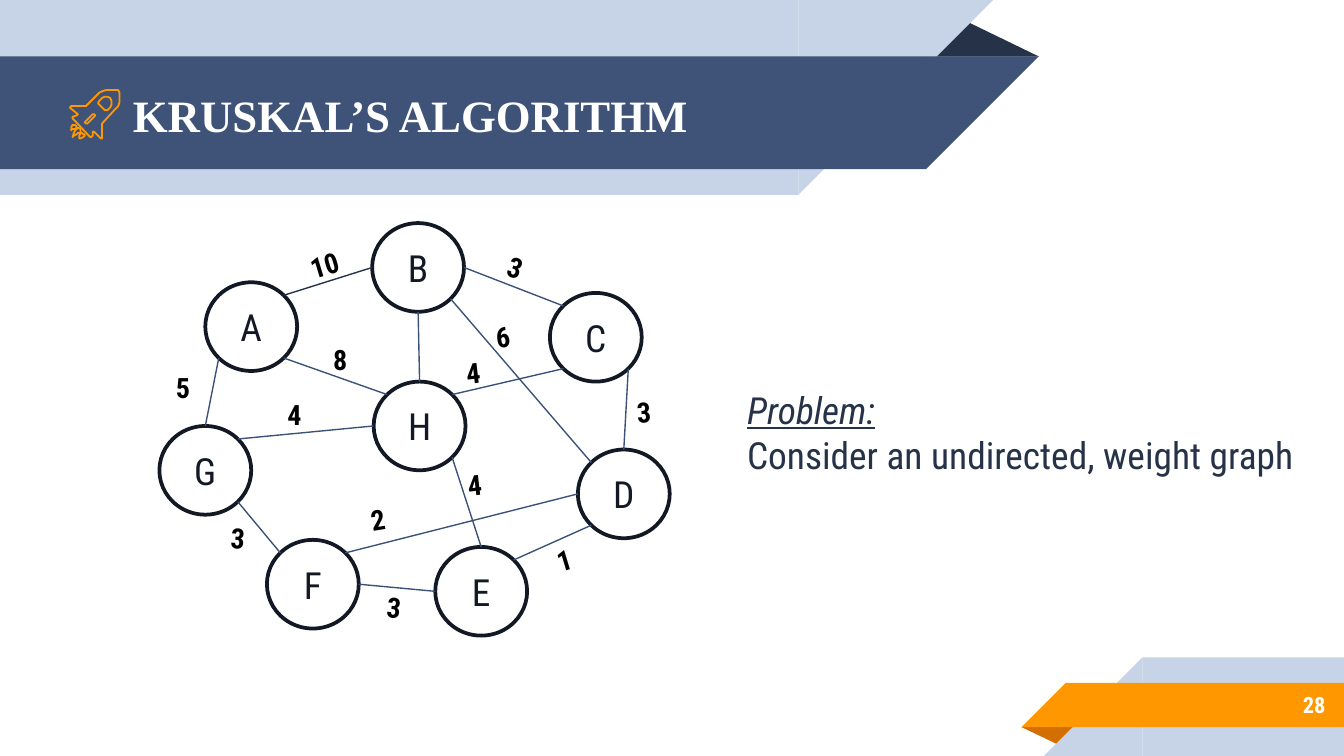
import math

import pptx
import pptx.util
from lxml import etree
from pptx.dml.color import RGBColor
from pptx.enum.shapes import MSO_CONNECTOR, MSO_SHAPE
from pptx.enum.text import MSO_ANCHOR, PP_ALIGN
from pptx.oxml.ns import qn

Pt = pptx.util.Pt

THEME = {
    "pale": RGBColor.from_string("C7D3E6"),
    "navy": RGBColor.from_string("3F5378"),
    "dark": RGBColor.from_string("263248"),
    "orange": RGBColor.from_string("FF9800"),
    "rust": RGBColor.from_string("D26F00"),
    "white": RGBColor.from_string("FFFFFF"),
    "black": RGBColor.from_string("000000"),
    "ink": RGBColor.from_string("131924"),
    "edge": RGBColor.from_string("3C5177"),
    "first_edge": RGBColor.from_string("243147"),
    "body_font": "Roboto Condensed",
    "title_font": "Times New Roman",
    "title_size": 24,
    "body_size": 20,
    "weight_size": 15,
    "number_size": 12,
}

deck = pptx.Presentation()
deck.slide_width, deck.slide_height = Pt(720), Pt(405)
slide = deck.slides.add_slide(deck.slide_layouts[6])
shapes = slide.shapes


def style_font(paragraph, size, color, bold=False, family="body_font"):
    paragraph.font.name = THEME[family]
    paragraph.font.size = Pt(THEME[size])
    paragraph.font.color.rgb = THEME[color]
    paragraph.font.bold = bold


def add_label(text, left, top, width, height, size, color, bold=True, family="body_font"):
    """Add a text box with one styled paragraph per line of text."""
    label = shapes.add_textbox(Pt(left), Pt(top), Pt(width), Pt(height))
    label.text_frame.word_wrap = True
    label.text_frame.text = text
    for paragraph in label.text_frame.paragraphs:
        style_font(paragraph, size, color, bold, family)
    return label


# Ribbons: preset, left, top, width, height, rotation, colour
ribbons = [
    (MSO_SHAPE.ISOSCELES_TRIANGLE, 495.4, 10.1, 61.2, 20.2, 0, "dark"),
    (MSO_SHAPE.RECTANGLE, 0, 0, 427.7, 104.4, 0, "pale"),
    (MSO_SHAPE.RIGHT_TRIANGLE, 427.7, 0, 104.4, 104.4, 90, "pale"),
    (MSO_SHAPE.RECTANGLE, 0, 30.2, 496, 60.5, 0, "navy"),
    (MSO_SHAPE.RIGHT_TRIANGLE, 496, 30.2, 60.5, 60.5, 90, "navy"),
    (MSO_SHAPE.ISOSCELES_TRIANGLE, 547.2, 389.5, 31, 10.1, 180, "rust"),
    (MSO_SHAPE.RECTANGLE, 612, 352.2, 108, 52.8, 0, "pale"),
    (MSO_SHAPE.RIGHT_TRIANGLE, 559.2, 352.2, 52.8, 52.8, 270, "pale"),
    (MSO_SHAPE.RECTANGLE, 571, 365.8, 149, 23.8, 0, "orange"),
    (MSO_SHAPE.RIGHT_TRIANGLE, 547.2, 365.8, 23.8, 23.8, 270, "orange"),
]
for preset, left, top, width, height, rotation, color in ribbons:
    ribbon = shapes.add_shape(preset, Pt(left), Pt(top), Pt(width), Pt(height))
    ribbon.rotation = rotation
    ribbon.shadow.inherit = False
    ribbon.fill.solid()
    ribbon.fill.fore_color.rgb = THEME[color]
    ribbon.line.fill.background()
    if preset == MSO_SHAPE.ISOSCELES_TRIANGLE:
        ribbon.adjustments[0] = 0.32

title = add_label("KRUSKAL’S ALGORITHM", 64.1, 31, 414, 60.5, "title_size", "white",
                  family="title_font")
page_number = add_label("28", 599.8, 365, 117.4, 25.2, "number_size", "white")
page_number.text_frame.paragraphs[0].alignment = PP_ALIGN.RIGHT
for label in (title, page_number):
    frame = label.text_frame
    frame.vertical_anchor = MSO_ANCHOR.MIDDLE
    frame.margin_top = frame.margin_bottom = Pt(7.2)

# Rocket icon: each part is a list of closed contours, in units of 0.72 pt
rocket = [
    [
        [(76, 102), (76, 92), (86, 81), (88, 79), (89, 76), (89, 69), (88, 67),
         (86, 67), (79, 67), (76, 68), (74, 69), (64, 79), (53, 79), (52, 80),
         (53, 81), (58, 85), (57, 86), (54, 87), (54, 88), (67, 102), (68, 102),
         (69, 101), (69, 98), (70, 98), (75, 103), (76, 103)],
        [(65, 92), (64, 92), (63, 91), (64, 90), (69, 85), (70, 85), (71, 86), (70, 87)],
        [(80, 82), (78, 82), (74, 78), (73, 77), (74, 75), (76, 73), (78, 72),
         (80, 72), (82, 73), (83, 75), (83, 78), (82, 80)],
    ],
    [[(60, 96), (58, 95), (57, 96), (56, 97), (55, 99), (54, 102), (55, 101),
      (57, 100), (58, 99), (60, 99), (60, 98)]],
    [[(62, 100), (61, 99), (60, 99), (59, 101), (59, 103), (60, 103), (62, 102),
      (63, 101), (63, 100)]],
    [[(56, 93), (55, 93), (54, 93), (53, 95), (53, 97), (54, 96), (56, 96),
      (57, 95), (57, 94)]],
]
for contours in rocket:
    builder = shapes.build_freeform(*contours[0][0], scale=Pt(0.72))
    builder.add_line_segments(contours[0][1:], close=True)
    for contour in contours[1:]:
        builder.move_to(*contour[0])
        builder.add_line_segments(contour[1:], close=True)
    rocket_part = builder.convert_to_shape()
    rocket_part.shadow.inherit = False
    rocket_part.fill.background()
    rocket_part.line.color.rgb = THEME["orange"]
    rocket_part.line.width = Pt(0.96)

# Graph vertices, by centre
VERTEX_W, VERTEX_H = 49.2, 47.5
vertices = {
    "A": (134.6, 175), "B": (224, 143.3), "C": (319.2, 180.7), "D": (334.2, 264.6),
    "H": (224.8, 228.2), "G": (110, 252), "E": (257.8, 316.8), "F": (167.6, 313),
}
for letter, (x, y) in vertices.items():
    vertex = shapes.add_shape(MSO_SHAPE.OVAL, Pt(x - VERTEX_W / 2), Pt(y - VERTEX_H / 2),
                              Pt(VERTEX_W), Pt(VERTEX_H))
    vertex.shadow.inherit = False
    vertex.fill.solid()
    vertex.fill.fore_color.rgb = THEME["white"]
    vertex.line.color.rgb = THEME["ink"]
    vertex.line.width = Pt(2)
    vertex.text_frame.text = letter
    vertex.text_frame.vertical_anchor = MSO_ANCHOR.MIDDLE
    vertex.text_frame.paragraphs[0].alignment = PP_ALIGN.CENTER
    style_font(vertex.text_frame.paragraphs[0], "body_size", "ink")

# Edges: vertex and the compass point where the edge meets its rim, at both ends
COMPASS = ["E", "SE", "S", "SW", "W", "NW", "N", "NE"]
edges = [
    ("A", "NE", "B", "W"), ("B", "E", "C", "NW"), ("C", "SE", "D", "N"),
    ("D", "SW", "E", "NE"), ("E", "W", "F", "E"), ("F", "NW", "G", "SE"),
    ("G", "N", "A", "SW"), ("B", "S", "H", "N"), ("B", "SE", "D", "NW"),
    ("D", "W", "F", "NE"), ("H", "SE", "E", "N"), ("A", "SE", "H", "NW"),
    ("H", "W", "G", "NE"), ("C", "SW", "H", "NE"),
]
for index, (start, start_side, end, end_side) in enumerate(edges):
    ends = []
    for letter, side in ((start, start_side), (end, end_side)):
        angle = COMPASS.index(side) * math.pi / 4
        x, y = vertices[letter]
        ends += [Pt(x + VERTEX_W / 2 * math.cos(angle)),
                 Pt(y + VERTEX_H / 2 * math.sin(angle))]
    edge = shapes.add_connector(MSO_CONNECTOR.STRAIGHT, *ends)
    edge.line.color.rgb = THEME["first_edge" if index == 0 else "edge"]
    edge.line.width = Pt(0.75)
    etree.SubElement(edge._element.spPr, qn("a:effectLst"))

# Edge weights: text, left, top, rotation
weights = [
    ("10", 159.1, 128.9, -16.9), ("3", 265, 132.5, 19.1), ("4", 243.4, 246.2, -6.6),
    ("2", 191.5, 265, -9.2), ("4", 146.9, 209.5, 0), ("5", 87.1, 195.1, 0),
    ("3", 116.6, 275.8, 3.9), ("3", 200.2, 313.2, 6.1), ("1", 291.2, 285.6, -16.9),
    ("4", 242.6, 186.5, -6.6), ("6", 258.5, 167, -6.6), ("8", 171.4, 180, 0),
    ("3", 334.1, 207.4, -4.2),
]
for weight, left, top, rotation in weights:
    add_label(weight, left, top, 33.1, 25.2, "weight_size", "black").rotation = rotation

problem = add_label("Problem:\nConsider an undirected, weight graph", 393.1, 203.8, 310.3, 55.4,
                    "body_size", "dark", bold=False)
problem.text_frame.word_wrap = False
heading = problem.text_frame.paragraphs[0]
heading.font.italic = True
heading.font.underline = True

deck.save("out.pptx")
